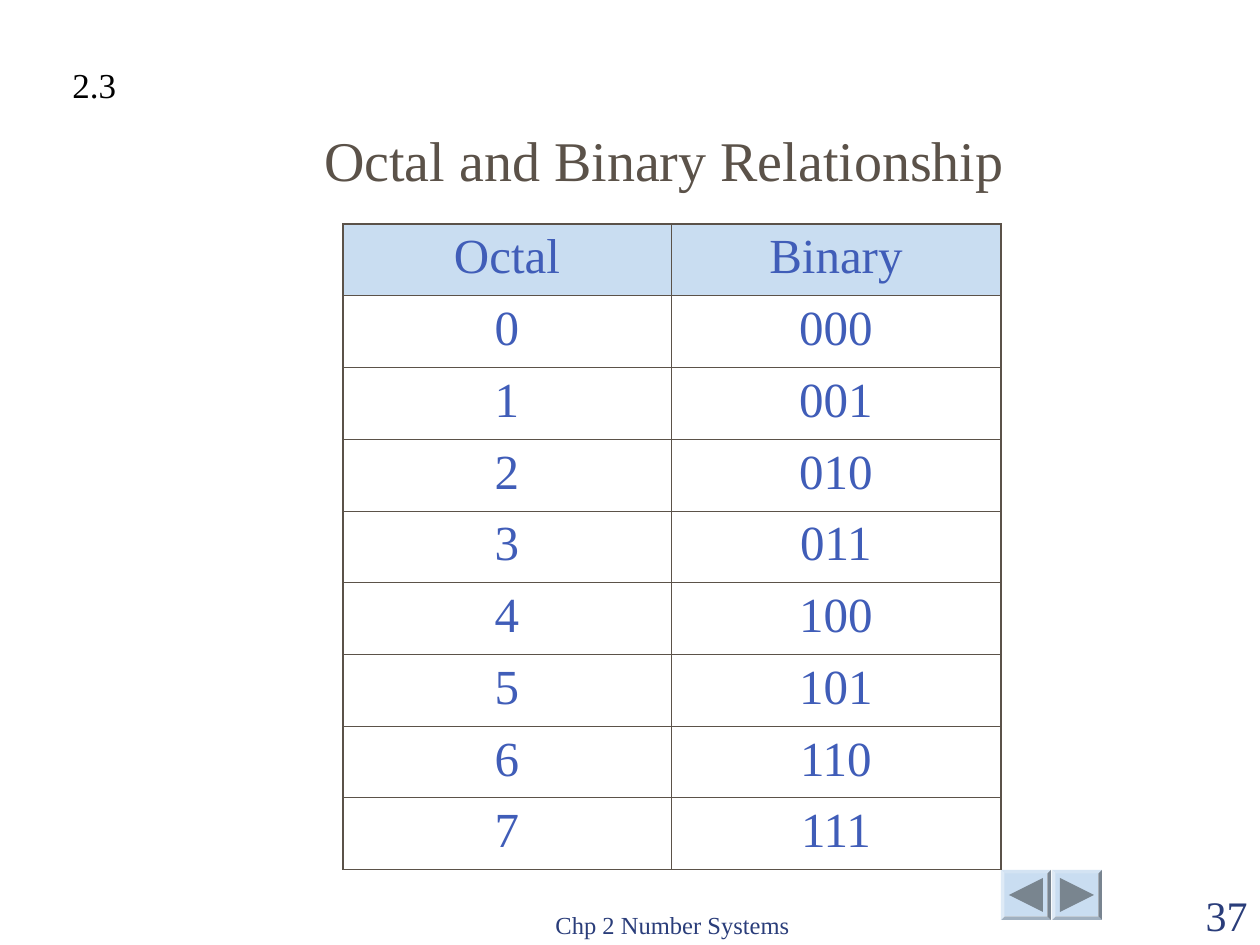
from lxml import etree
from pptx import Presentation
from pptx.dml.color import RGBColor
from pptx.enum import shapes, text
from pptx.oxml import ns
from pptx.util import Emu, Pt

PX = 914400 // 126
FONT = "Times New Roman"
COLORS = {
    "black": "000000",
    "title": "5B5249",
    "cell": "405DB8",
    "footer": "2A3D7A",
    "panel": "C9DDF1",
    "arrow": "79858F",
}
ALIGN = text.PP_ALIGN
ANCHOR = text.MSO_ANCHOR
SHAPE = shapes.MSO_SHAPE


def color(name):
    return RGBColor.from_string(COLORS[name])


def place(box):
    return [Emu(length * PX) for length in box]


def add_span(para, words, size, tint, align):
    para.alignment = align
    span = para.add_run()
    span.text = words
    span.font.name = FONT
    span.font.size = Pt(size)
    span.font.color.rgb = color(tint)


def add_label(page, box, words, size, tint, align, anchor=ANCHOR.BOTTOM, wrap=True):
    frame = page.shapes.add_textbox(*place(box)).text_frame
    frame.word_wrap = wrap
    frame.vertical_anchor = anchor
    add_span(frame.paragraphs[0], words, size, tint, align)


def add_border(cell, side, width):
    line = etree.SubElement(cell._tc.get_or_add_tcPr(), ns.qn(f"a:{side}"), w=str(Pt(width)))
    fill = etree.SubElement(line, ns.qn("a:solidFill"))
    etree.SubElement(fill, ns.qn("a:srgbClr"), val=COLORS["title"])


def add_octal_table(page, box):
    rows = [("Octal", "Binary")] + [(str(n), f"{n:03b}") for n in range(8)]
    left, top, width, height = place(box)
    table = page.shapes.add_table(len(rows), 2, left, top, width, height).table
    table.columns[0].width = Emu(328 * PX)
    table.columns[1].width = Emu(width - 328 * PX)
    last = len(rows) - 1
    for r, row in enumerate(rows):
        table.rows[r].height = Emu(height // len(rows))
        for c, words in enumerate(row):
            cell = table.cell(r, c)
            add_span(cell.text_frame.paragraphs[0], words, 28, "cell", ALIGN.CENTER)
            outer = {"lnL": c == 0, "lnR": c == 1, "lnT": r == 0, "lnB": r == last}
            for side, is_outer in outer.items():
                add_border(cell, side, 1.08 if is_outer else 0.45)
            if r == 0:
                cell.fill.solid()
                cell.fill.fore_color.rgb = color("panel")
            else:
                cell.fill.background()


def add_plain_shape(page, kind, box, tint):
    shape = page.shapes.add_shape(kind, *place(box))
    shape.shadow.inherit = False
    shape.fill.solid()
    shape.fill.fore_color.rgb = color(tint)
    shape.line.fill.background()
    return shape


def add_button(page, box, rotation):
    left, top, width, height = box
    panel = add_plain_shape(page, SHAPE.BEVEL, box, "panel")
    panel.adjustments[0] = 0.07
    inset = 8
    arrow_box = (left + inset, top + inset, width - 2 * inset, height - 2 * inset)
    arrow = add_plain_shape(page, SHAPE.ISOSCELES_TRIANGLE, arrow_box, "arrow")
    arrow.rotation = rotation


def add_navigation(page, box):
    left, top, width, height = box
    for side, rotation in ((left, 270), (left + width - height, 90)):
        add_button(page, (side, top, height, height), rotation)


def main():
    deck = Presentation()
    deck.slide_width, deck.slide_height = Emu(1260 * PX), Emu(945 * PX)
    page = deck.slides.add_slide(deck.slide_layouts[6])
    add_navigation(page, (1001, 870, 101, 50))
    add_label(page, (473, 883, 399, 63), "Chp 2 Number Systems", 14, "footer", ALIGN.CENTER)
    add_label(page, (1134, 883, 126, 63), "37", 24, "footer", ALIGN.RIGHT)
    add_label(page, (136, 105, 1071, 94), "Octal and Binary Relationship ", 32, "title", ALIGN.CENTER)
    add_octal_table(page, (343, 224, 658, 646))
    add_label(page, (60, 57, 69, 55), "2.3", 20, "black", ALIGN.LEFT, ANCHOR.TOP, False)
    deck.save("out.pptx")


if __name__ == "__main__":
    main()
